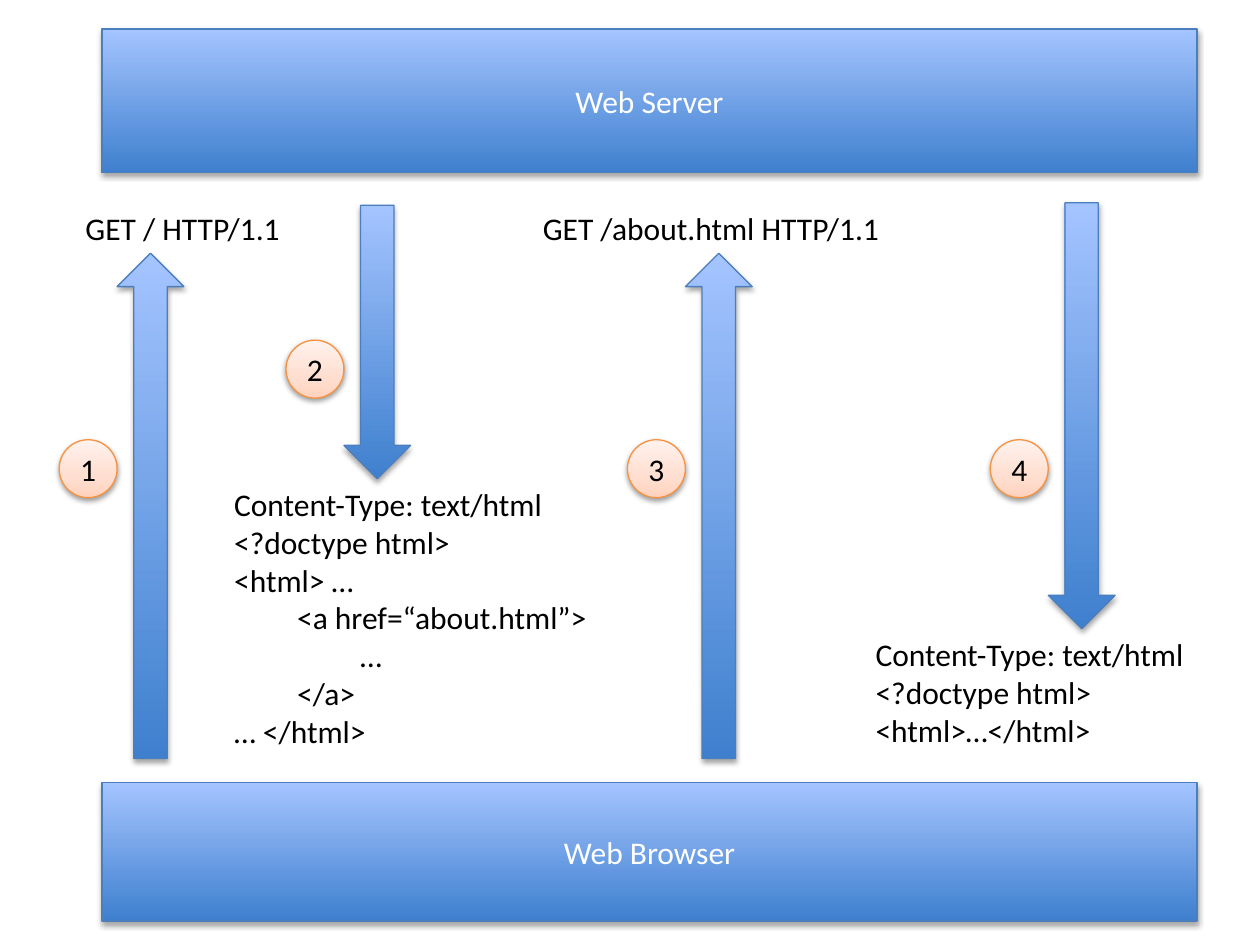
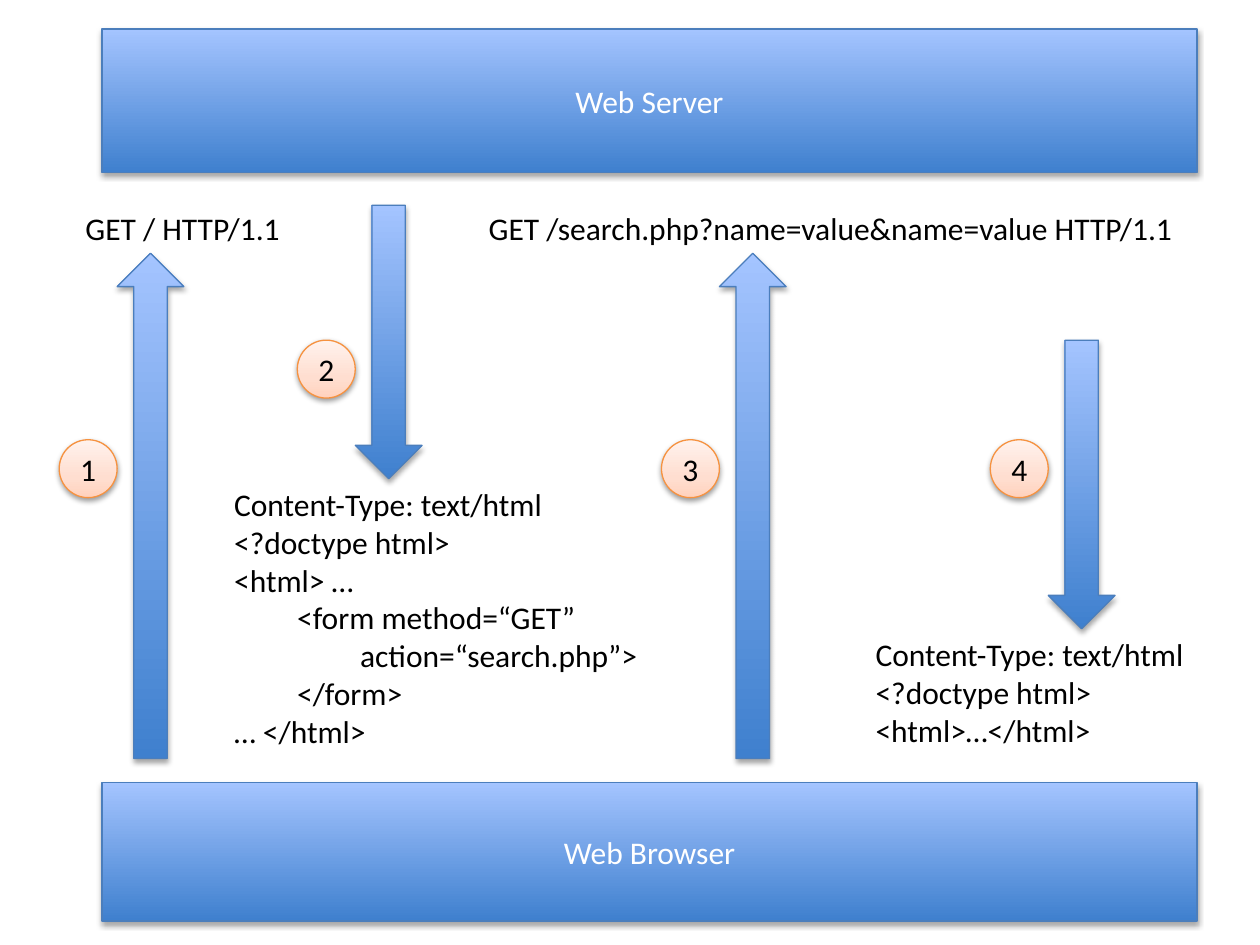
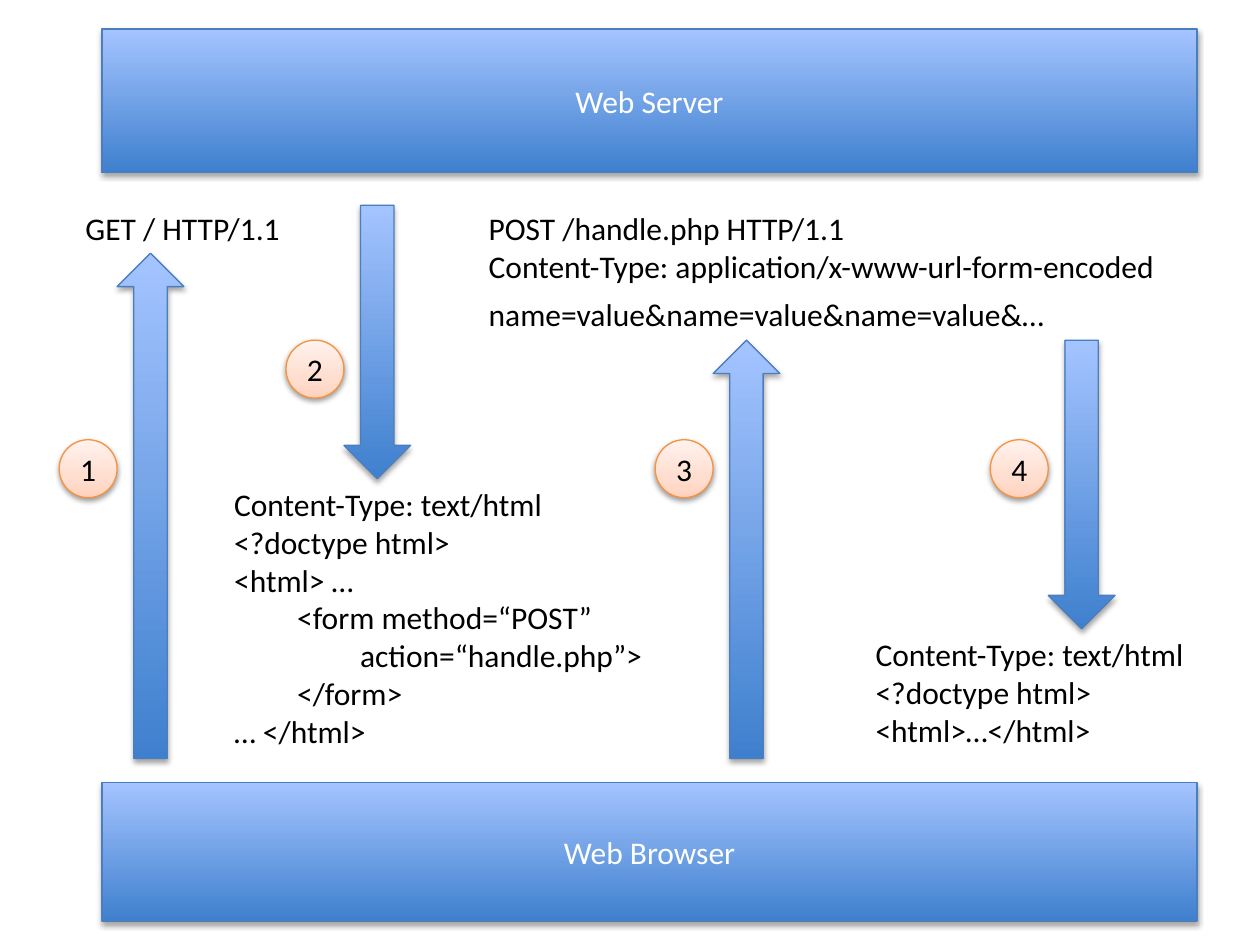
from dataclasses import dataclass

from lxml import etree
from pptx import Presentation
from pptx.dml.color import RGBColor
from pptx.enum.shapes import MSO_SHAPE
from pptx.enum.text import MSO_ANCHOR, MSO_AUTO_SIZE, PP_ALIGN
from pptx.oxml.ns import qn
from pptx.util import Inches, Pt

RECT, OVAL = MSO_SHAPE.RECTANGLE, MSO_SHAPE.OVAL
UP, DOWN = MSO_SHAPE.UP_ARROW, MSO_SHAPE.DOWN_ARROW
CENTER, MIDDLE = PP_ALIGN.CENTER, MSO_ANCHOR.MIDDLE
FIT_SHAPE = MSO_AUTO_SIZE.SHAPE_TO_FIT_TEXT


@dataclass(frozen=True)
class Look:
    """Fill stops (percent, colour), outline, text colour and shadow."""
    stops: tuple
    line: str
    text: str
    shadow_alpha: int
    shadow_dist: float


@dataclass(frozen=True)
class Theme:
    """Colours and type shared by all slides."""
    font: str = "Calibri"
    size: int = 18
    ink: str = "000000"
    line_width: float = 0.75
    shadow_blur: float = 3.15
    blue: Look = Look(((0, "3F80CE"), (100, "A4C4FF")),
                      "4B7EBC", "FFFFFF", 35, 1.8)
    peach: Look = Look(((0, "FFD2BD"), (35, "FFDED0"), (100, "FFF2ED")),
                       "F69240", "000000", 38, 1.6)


THEME = Theme()

# Layout in inches
SLIDE_W, SLIDE_H = 10, 7.5
BAND_X, BAND_W = 0.81, 8.69
BANDS = [("Web Browser", 6.21, 1.1), ("Web Server", 0.23, 1.14)]
ARROW_W, BADGE, INDENT = 0.53, 0.46, 0.5
REQUEST_Y, REQUEST_END = 1.61, 2.01      # request text, one line high
LOW_Y = 2.7                              # below a three-line request
PAGE_Y, REPLY_Y, FLOOR = 3.8, 4.99, 6.02  # page text, reply text, lower edge
BADGE_Y = 3.49

# Content: a line is (indent level, text, space after in points)
FIRST_REQUEST = [(0, "GET / HTTP/1.1", 0)]
HEADERS = [(0, "Content-Type: text/html", 0), (0, "<?doctype html>", 0)]
REPLY = HEADERS + [(0, "<html>…</html>", 0)]


def page(opening, inner, closing):
    """Return the lines of an HTML page around one element."""
    return HEADERS + [(0, "<html> …", 0), (1, opening, 0), (2, inner, 0),
                      (1, closing, 0), (0, "… </html>", 0)]


SLIDES = [
    dict(page=page("<a href=“about.html”>", "…", "</a>"), page_w=3.04,
         request=[(0, "GET /about.html HTTP/1.1", 0)],
         request_x=4.21, request_w=2.98, request_end=REQUEST_END,
         arrow_x=(0.93, 2.73, 5.44, 8.32), reply_from=REQUEST_Y),
    dict(page=page("<form method=“GET”", "action=“search.php”>", "</form>"),
         page_w=3.44,
         request=[(0, "GET /search.php?name=value&name=value HTTP/1.1", 0)],
         request_x=3.78, request_w=5.71, request_end=REQUEST_END,
         arrow_x=(0.93, 2.82, 5.71, 8.32), reply_from=LOW_Y),
    dict(page=page("<form method=“POST”", "action=“handle.php”>", "</form>"),
         page_w=3.47,
         request=[(0, "POST /handle.php HTTP/1.1", 0),
                  (0, "Content-Type: application/x-www-url-form-encoded", 6),
                  (0, "name=value&name=value&name=value&…", 0)],
         request_x=3.78, request_w=5.59, request_end=LOW_Y,
         arrow_x=(0.93, 2.73, 5.66, 8.32), reply_from=LOW_Y),
]


def style_font(p, color):
    """Set the theme font on a paragraph."""
    p.font.name, p.font.size = THEME.font, Pt(THEME.size)
    p.font.color.rgb = RGBColor.from_string(color)


def add_color(parent, color):
    """Append an RGB colour element and return it."""
    return etree.SubElement(parent, qn("a:srgbClr"), val=color)


def add_shape(s, kind, x, y, w, h, look, text=""):
    """Add a gradient shape with a soft shadow and optional centred text."""
    sp = s.shapes.add_shape(kind, *map(Inches, (x, y, w, h)))
    sp.fill.gradient()
    sp.fill.gradient_angle = 90
    stops = sp._element.spPr.find(".//" + qn("a:gsLst"))
    for old in list(stops):
        stops.remove(old)
    for percent, color in look.stops:
        add_color(etree.SubElement(stops, qn("a:gs"), pos=str(percent * 1000)),
                  color)
    sp.line.color.rgb = RGBColor.from_string(look.line)
    sp.line.width = Pt(THEME.line_width)
    sp.shadow.inherit = False
    shadow = etree.SubElement(
        sp._element.spPr.find(qn("a:effectLst")), qn("a:outerShdw"),
        blurRad=str(Pt(THEME.shadow_blur)), dist=str(Pt(look.shadow_dist)),
        dir="5400000", rotWithShape="0")
    etree.SubElement(add_color(shadow, "000000"), qn("a:alpha"),
                     val=str(look.shadow_alpha * 1000))
    if text:
        sp.text_frame.vertical_anchor = MIDDLE
        p = sp.text_frame.paragraphs[0]
        p.text, p.alignment = text, CENTER
        style_font(p, look.text)


def add_lines(s, x, y, w, h, lines):
    """Add an unwrapped text box with indented lines."""
    tf = s.shapes.add_textbox(*map(Inches, (x, y, w, h))).text_frame
    tf.word_wrap, tf.auto_size = False, FIT_SHAPE
    for i, (level, text, after) in enumerate(lines):
        p = tf.add_paragraph() if i else tf.paragraphs[0]
        p.text = text
        style_font(p, THEME.ink)
        if level:
            p._p.get_or_add_pPr().set("marL", str(Inches(level * INDENT)))
        if after:
            p.space_after = Pt(after)


def build_slide(prs, c):
    """Draw one exchange of two requests and two replies."""
    s = prs.slides.add_slide(prs.slide_layouts[6])
    for name, y, h in BANDS:
        add_shape(s, RECT, BAND_X, y, BAND_W, h, THEME.blue, name)

    end = c["request_end"]
    add_lines(s, c["request_x"], REQUEST_Y, c["request_w"], end - REQUEST_Y,
              c["request"])
    add_lines(s, 0.58, REQUEST_Y, 1.77, REQUEST_END - REQUEST_Y, FIRST_REQUEST)
    add_lines(s, 1.76, PAGE_Y, c["page_w"], FLOOR - PAGE_Y, c["page"])
    add_lines(s, 6.85, REPLY_Y, 2.71, FLOOR - REPLY_Y, REPLY)

    steps = [(UP, REQUEST_END, FLOOR, BADGE_Y), (DOWN, 1.63, PAGE_Y, LOW_Y),
             (UP, end, FLOOR, BADGE_Y),
             (DOWN, c["reply_from"], REPLY_Y, BADGE_Y)]
    for i, (x, step) in enumerate(zip(c["arrow_x"], steps), 1):
        kind, top, bottom, badge_y = step
        add_shape(s, kind, x, top, ARROW_W, bottom - top, THEME.blue)
        add_shape(s, OVAL, x - BADGE, badge_y, BADGE, BADGE, THEME.peach,
                  str(i))


prs = Presentation()
prs.slide_width, prs.slide_height = Inches(SLIDE_W), Inches(SLIDE_H)
for content in SLIDES:
    build_slide(prs, content)
prs.save("out.pptx")
